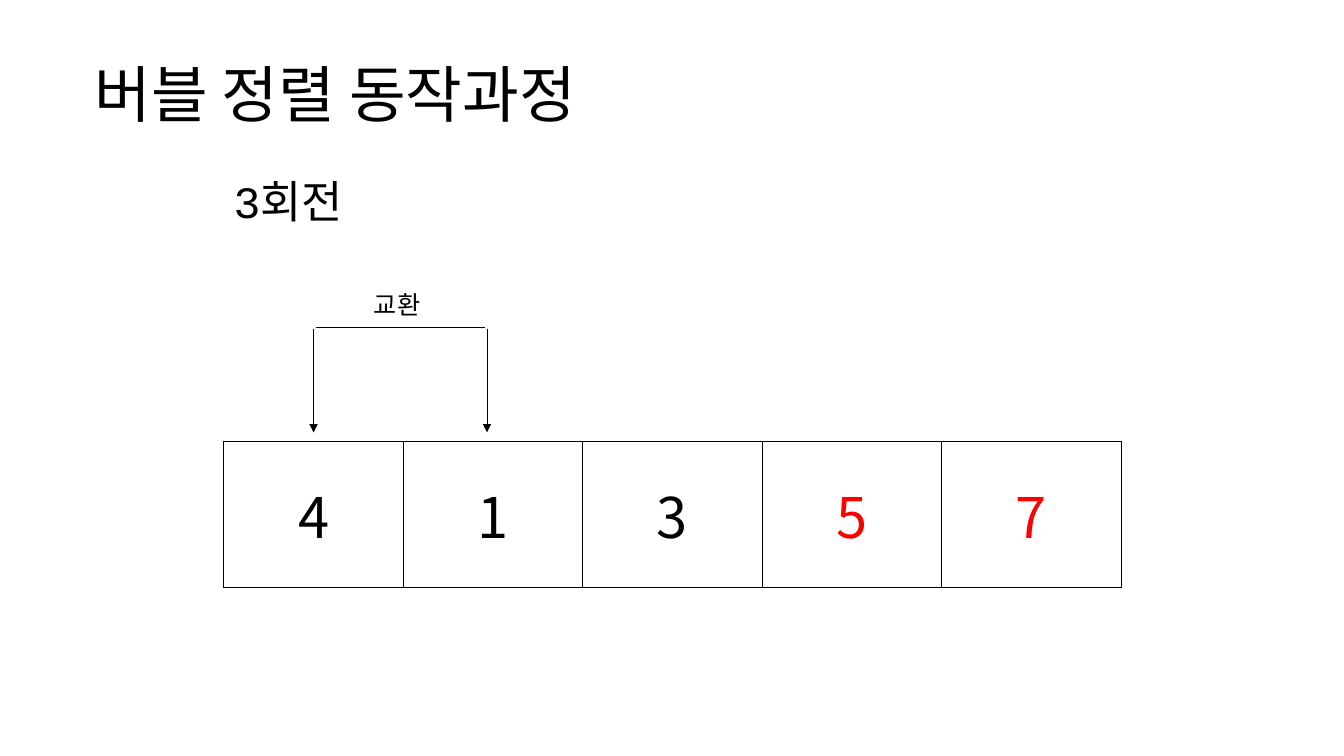
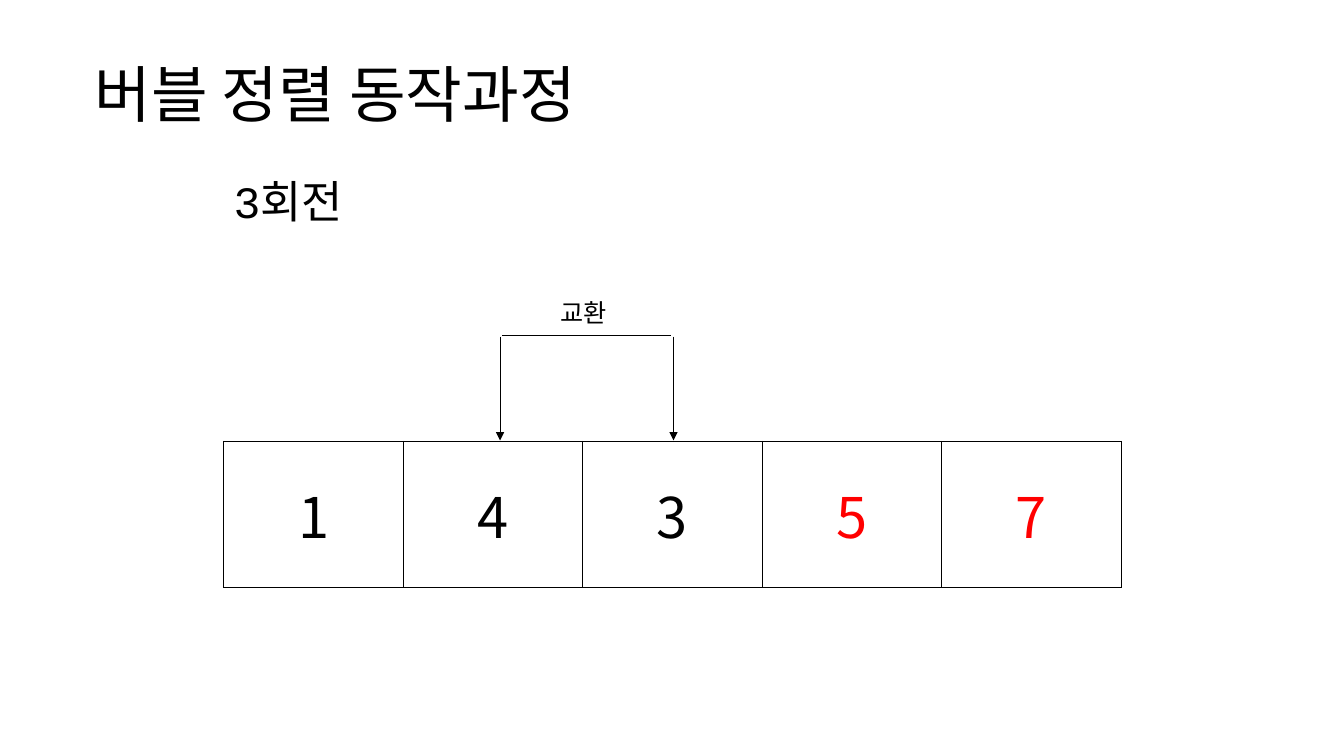
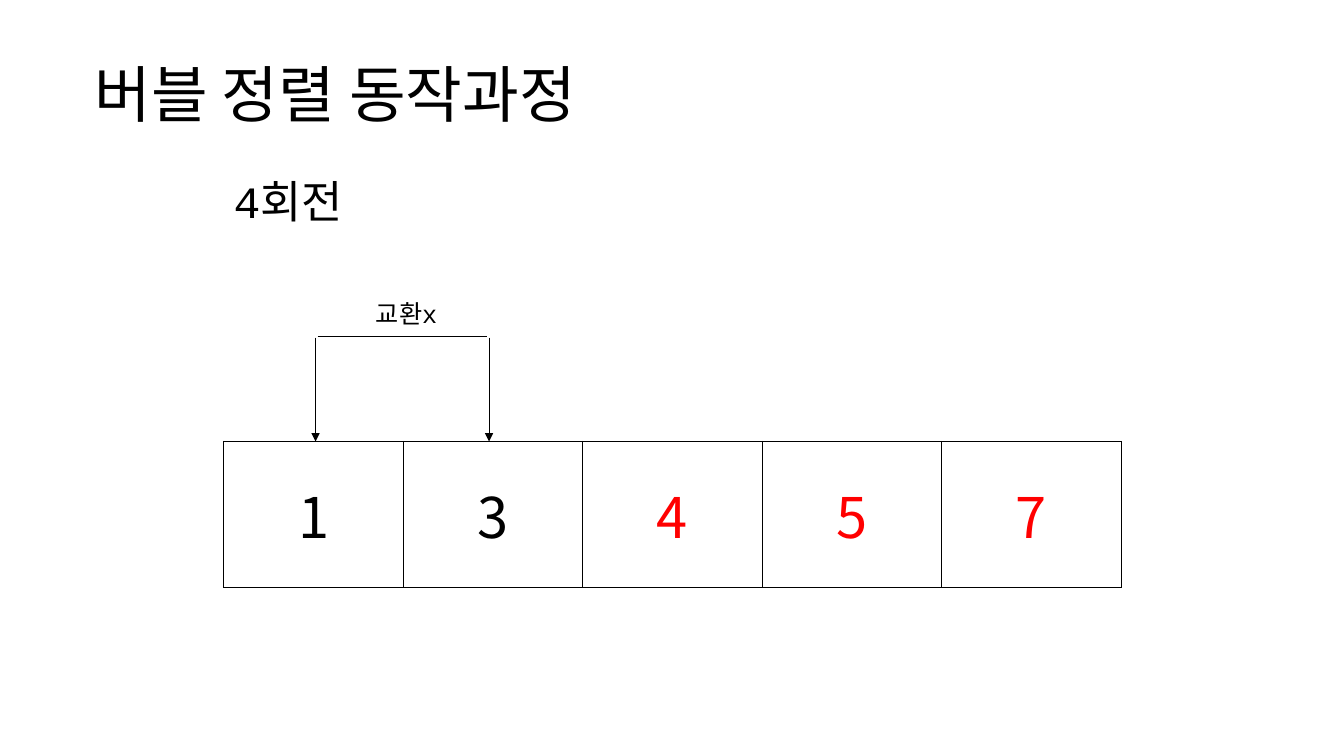
from lxml import etree
from pptx import Presentation
from pptx.dml.color import RGBColor
from pptx.enum.shapes import MSO_CONNECTOR
from pptx.enum.text import MSO_ANCHOR, MSO_AUTO_SIZE, PP_ALIGN
from pptx.oxml import parse_xml
from pptx.oxml.ns import nsdecls, qn
from pptx.util import Inches, Pt

# Shared style
COLORS = {"ink": "000000", "sorted": "FF0000"}
TITLE = "버블 정렬 동작과정"
KOREAN_FONT = "Noto Sans CJK KR"
MONO_FONT = "Courier New"

# Array grid and swap bracket, in inches
ARRAY_LEFT, ARRAY_TOP = 2.22, 4.38
CELL_WIDTH, CELL_HEIGHT = 1.78, 1.45
BRACKET_WIDTH, ARROW_LENGTH = 1.72, 1.03

# Round, values, number already sorted, label, left and top of the bracket
STEPS = [
    ("3회전", [4, 1, 3, 5, 7], 2, "교환", 3.11, 3.25),
    ("3회전", [1, 4, 3, 5, 7], 2, "교환", 4.96, 3.33),
    ("4회전", [1, 3, 4, 5, 7], 3, "교환x", 3.13, 3.34),
]


def write(text_frame, text, font, size, color="ink", align=PP_ALIGN.LEFT, spacing=0.9):
    text_frame.text = text
    text_frame.word_wrap = True
    paragraph = text_frame.paragraphs[0]
    paragraph.alignment = align
    paragraph.line_spacing = spacing
    run = paragraph.runs[0]
    run.font.name = font
    run.font.size = Pt(size)
    run.font.bold = False
    run.font.color.rgb = RGBColor.from_string(COLORS[color])
    east_asian = etree.SubElement(run.font._element, qn("a:ea"))
    east_asian.set("typeface", KOREAN_FONT)


def draw_line(slide, x1, y1, x2, y2, arrow=False):
    connector = slide.shapes.add_connector(
        MSO_CONNECTOR.STRAIGHT, Inches(x1), Inches(y1), Inches(x2), Inches(y2))
    connector.line.width = Pt(0.5)
    connector.line.color.rgb = RGBColor.from_string(COLORS["ink"])
    if arrow:
        tail = etree.SubElement(connector.line._get_or_add_ln(), qn("a:tailEnd"))
        tail.set("type", "triangle")
    etree.SubElement(connector._element.spPr, qn("a:effectLst"))


presentation = Presentation()
presentation.slide_width = Inches(13.33)
presentation.slide_height = Inches(7.5)
title_only = presentation.slide_layouts[5]

for round_name, values, sorted_count, label, left, top in STEPS:
    slide = presentation.slides.add_slide(title_only)

    # Title
    title = slide.shapes.title
    title.left, title.top = Inches(0.84), Inches(0.24)
    title.width, title.height = Inches(11.5), Inches(1.45)
    write(title.text_frame, TITLE, KOREAN_FONT, 44)
    title.text_frame.vertical_anchor = MSO_ANCHOR.MIDDLE
    title.text_frame.auto_size = MSO_AUTO_SIZE.NONE

    # Array of values, the sorted ones at the right in red
    table = slide.shapes.add_table(
        1, len(values), Inches(ARRAY_LEFT), Inches(ARRAY_TOP),
        Inches(CELL_WIDTH * len(values)), Inches(CELL_HEIGHT)).table
    table.first_row = False
    table.horz_banding = False
    for column, value in enumerate(values):
        cell = table.cell(0, column)
        is_sorted = column >= len(values) - sorted_count
        write(cell.text_frame, str(value), KOREAN_FONT, 40,
              "sorted" if is_sorted else "ink", PP_ALIGN.CENTER, 1.0)
        cell.vertical_anchor = MSO_ANCHOR.MIDDLE
        for side in ("lnL", "lnR", "lnT", "lnB"):
            cell._tc.get_or_add_tcPr().append(parse_xml(
                f'<a:{side} {nsdecls("a")} w="12700"><a:solidFill>'
                f'<a:srgbClr val="{COLORS["ink"]}"/></a:solidFill></a:{side}>'))
        cell.fill.background()

    # Bracket over the compared pair
    for x in (left, left + BRACKET_WIDTH):
        draw_line(slide, x, top + 0.01, x, top + 0.01 + ARROW_LENGTH, arrow=True)
    draw_line(slide, left + 0.02, top, left + BRACKET_WIDTH - 0.02, top)

    # Round name and bracket label
    for text, size, x, y, width, height in (
        (round_name, 32, 2.22, 1.61, 3.04, 0.82),
        (label, 18, left + 0.5, top - 0.53, 1, 0.63),
    ):
        text_box = slide.shapes.add_textbox(Inches(x), Inches(y), Inches(width), Inches(height))
        write(text_box.text_frame, text, MONO_FONT, size)
        text_box.text_frame.vertical_anchor = MSO_ANCHOR.MIDDLE

presentation.save("out.pptx")
